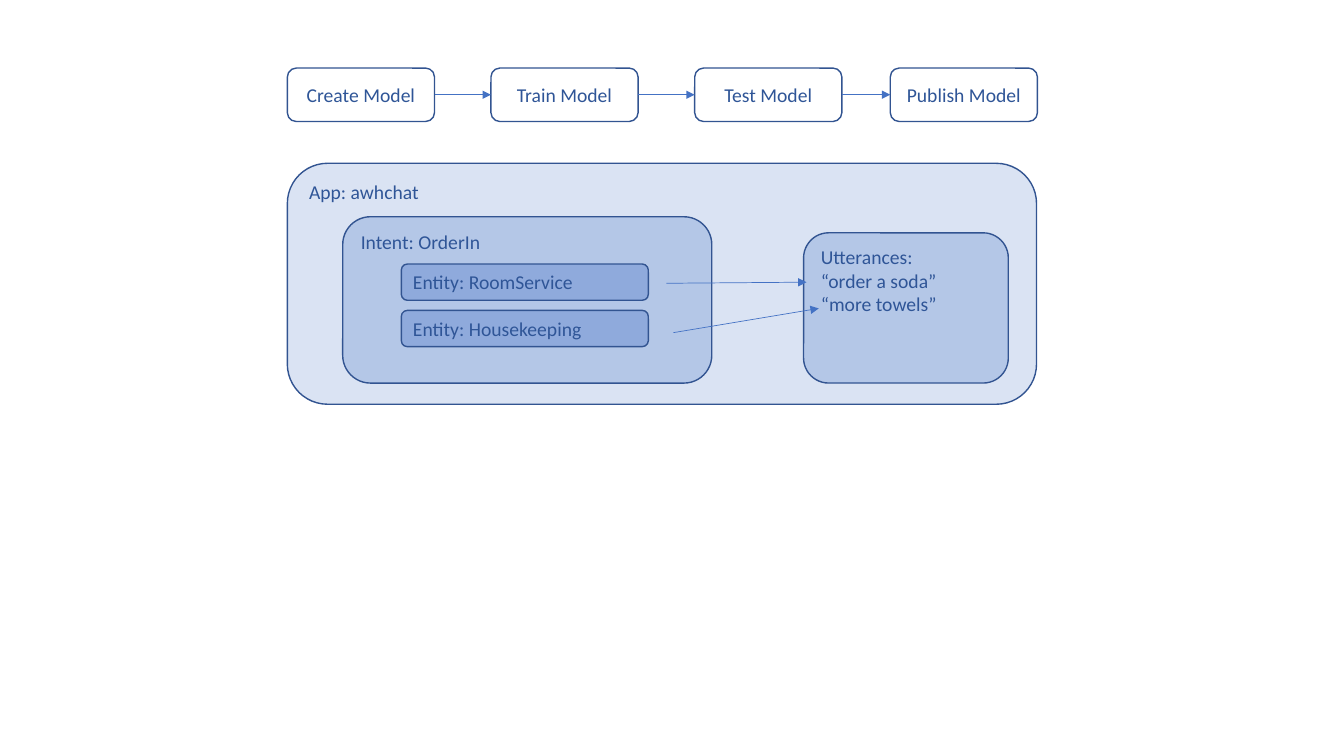
from itertools import pairwise

from lxml.etree import SubElement
from pptx import Presentation
from pptx.dml.color import RGBColor
from pptx.enum.shapes import MSO_CONNECTOR, MSO_SHAPE
from pptx.enum.text import MSO_ANCHOR, PP_ALIGN
from pptx.oxml.ns import qn
from pptx.util import Inches, Pt

SLIDE_W, SLIDE_H = Inches(13.33), Inches(7.5)

WHITE = RGBColor(0xFF, 0xFF, 0xFF)
PALE_BLUE = RGBColor(0xDA, 0xE3, 0xF3)
LIGHT_BLUE = RGBColor(0xB4, 0xC7, 0xE7)
MID_BLUE = RGBColor(0x8F, 0xAA, 0xDC)
OUTLINE = RGBColor(0x32, 0x54, 0x91)
TEXT_BLUE = RGBColor(0x2F, 0x55, 0x97)
ARROW_BLUE = RGBColor(0x44, 0x72, 0xC4)

# Lengths are percentages of the slide's width and height.
STEPS = [
    ("Create Model", 21.38),
    ("Train Model", 36.53),
    ("Test Model", 51.69),
    ("Publish Model", 66.24),
]
STEP_TOP, STEP_W, STEP_H = 9, 10.95, 7.07

ENTITIES = ["RoomService", "Housekeeping"]
ENTITY_TOP, ENTITY_PITCH = 34.93, 6.13


def across(share):
    return round(SLIDE_W * share / 100)


def down(share):
    return round(SLIDE_H * share / 100)


def add_box(s, text, left, top, width, height, fill,
            anchor=MSO_ANCHOR.TOP, align=PP_ALIGN.LEFT):
    sp = s.shapes.add_shape(MSO_SHAPE.ROUNDED_RECTANGLE, across(left),
                            down(top), across(width), down(height))
    sp.shadow.inherit = False
    sp.fill.solid()
    sp.fill.fore_color.rgb = fill
    sp.line.color.rgb = OUTLINE
    sp.line.width = Pt(1)
    tf = sp.text_frame
    tf.word_wrap = True
    tf.vertical_anchor = anchor
    p = tf.paragraphs[0]
    p.text = text
    p.alignment = align
    for r in p.runs:
        r.font.name = "Calibri"
        r.font.size = Pt(14)
        r.font.color.rgb = TEXT_BLUE


def add_arrow(s, x1, y1, x2, y2):
    cxn = s.shapes.add_connector(MSO_CONNECTOR.STRAIGHT, across(x1), down(y1),
                                 across(x2), down(y2))
    cxn.line.color.rgb = ARROW_BLUE
    cxn.line.width = Pt(0.5)
    ln = cxn.line._get_or_add_ln()
    SubElement(ln, qn("a:tailEnd"), type="triangle")
    SubElement(cxn._element.spPr, qn("a:effectLst"))


def add_steps(s):
    for name, left in STEPS:
        add_box(s, name, left, STEP_TOP, STEP_W, STEP_H, WHITE,
                MSO_ANCHOR.MIDDLE, PP_ALIGN.CENTER)
    middle = STEP_TOP + STEP_H / 2
    for (_, left), (_, next_left) in pairwise(STEPS):
        add_arrow(s, left + STEP_W, middle, next_left, middle)


def add_app(s):
    add_box(s, "App: awhchat", 21.38, 21.6, 55.74, 31.87, PALE_BLUE)
    add_box(s, "Intent: OrderIn", 25.5, 28.67, 27.46, 22, LIGHT_BLUE)
    for i, entity in enumerate(ENTITIES):
        add_box(s, f"Entity: {entity}", 29.86, ENTITY_TOP + i * ENTITY_PITCH,
                18.38, 4.8, MID_BLUE, MSO_ANCHOR.MIDDLE)
    add_box(s, "Utterances:\n“order a soda”\n“more towels”",
            59.79, 30.8, 15.23, 19.87, LIGHT_BLUE)
    add_arrow(s, 49.59, 37.47, 60.01, 37.33)
    add_arrow(s, 50.11, 44, 60.92, 40.8)


def main():
    prs = Presentation()
    prs.slide_width, prs.slide_height = SLIDE_W, SLIDE_H
    s = prs.slides.add_slide(prs.slide_layouts[6])
    add_app(s)
    add_steps(s)
    prs.save("out.pptx")


if __name__ == "__main__":
    main()
